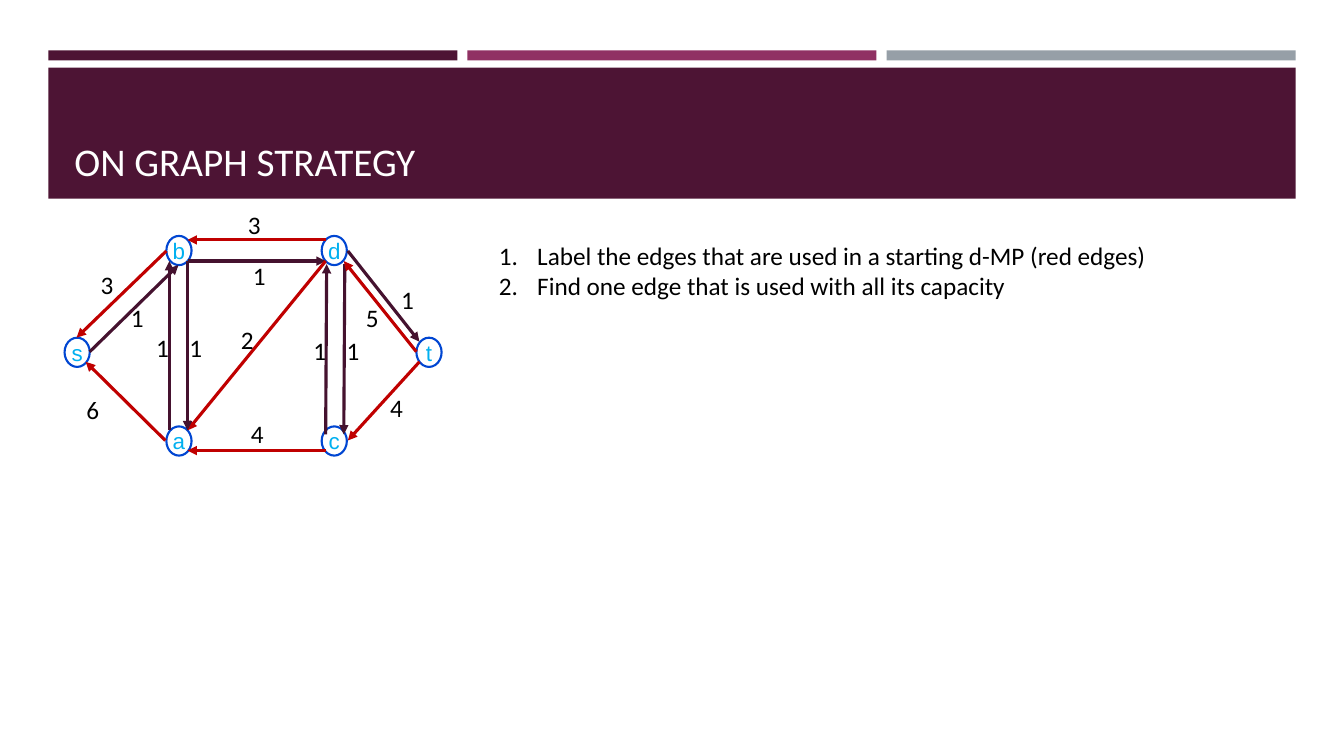
from lxml import etree
from pptx import Presentation
from pptx.dml.color import RGBColor
from pptx.enum.shapes import MSO_CONNECTOR, MSO_SHAPE
from pptx.enum.text import MSO_ANCHOR, PP_ALIGN
from pptx.oxml.ns import qn
from pptx.util import Inches, Pt

RECTANGLE, OVAL = MSO_SHAPE.RECTANGLE, MSO_SHAPE.OVAL
STRAIGHT = MSO_CONNECTOR.STRAIGHT
TOP, MIDDLE, BOTTOM = MSO_ANCHOR.TOP, MSO_ANCHOR.MIDDLE, MSO_ANCHOR.BOTTOM
LEFT, CENTER = PP_ALIGN.LEFT, PP_ALIGN.CENTER

PLUM = RGBColor(0x4D, 0x14, 0x34)
MAGENTA = RGBColor(0x90, 0x31, 0x63)
GRAY = RGBColor(0x96, 0x9F, 0xA7)
RED = RGBColor(0xC0, 0x00, 0x00)
DARK = RGBColor(0x45, 0x12, 0x2F)
BLUE = RGBColor(0x00, 0x46, 0xD2)
SKY = RGBColor(0x00, 0xB0, 0xF0)
WHITE = RGBColor(0xFF, 0xFF, 0xFF)
BLACK = RGBColor(0x00, 0x00, 0x00)

TITLE_STYLE = {"name": "Calibri", "size": Pt(28)}
BODY_STYLE = {"name": "Calibri", "size": Pt(18)}
NODE_STYLE = {"name": "Arial", "size": Pt(16)}

NODE_SIZE = (0.25, 0.29)
NODES = {
    "s": (0, 1.01), "t": (3.49, 1.01),
    "b": (1.01, 0), "d": (2.55, 0),
    "a": (1.01, 1.89), "c": (2.55, 1.89),
}
EDGES = [
    ((1.0, 2.03), (0.21, 1.25), RED, "6", (0.12, 1.52)),
    ((1.04, 1.93), (1.04, 0.25), DARK, "1", (0.81, 0.91)),
    ((1.22, 0.25), (2.59, 0.25), DARK, "1", (1.77, 0.19)),
    ((3.52, 1.25), (2.81, 2.03), RED, "4", (3.13, 1.5)),
    ((2.59, 0.25), (1.22, 1.93), RED, "2", (1.65, 0.83)),
    ((1.22, 0.25), (1.22, 1.93), DARK, "1", (1.14, 0.91)),
    ((2.59, 0.04), (1.22, 0.04), RED, "3", (1.72, -0.31)),
    ((0.25, 1.15), (1.13, 0.29), DARK, "1", (0.56, 0.61)),
    ((1.01, 0.15), (0.12, 1.01), RED, "3", (0.26, 0.28)),
    ((2.59, 2.13), (1.22, 2.13), RED, "4", (1.75, 1.76)),
    ((2.59, 1.97), (2.6, 0.28), DARK, "1", (2.37, 0.94)),
    ((2.78, 0.28), (2.77, 1.97), DARK, "1", (2.7, 0.94)),
    ((3.49, 1.15), (2.77, 0.25), RED, "5", (2.89, 0.61)),
    ((2.81, 0.15), (3.52, 1.05), DARK, "1", (3.24, 0.43)),
]
STEPS = [
    "Label the edges that are used in a starting d-MP (red edges)",
    "Find one edge that is used with all its capacity",
]


def write(para, text, style, color):
    span = para.add_run()
    span.text = text
    for name, value in style.items():
        setattr(span.font, name, value)
    span.font.color.rgb = color


def add_box(page, kind, box, fill, line=None):
    shape = page.shapes.add_shape(kind, *map(Inches, box))
    shape.shadow.inherit = False
    shape.fill.solid()
    shape.fill.fore_color.rgb = fill
    if line is None:
        shape.line.fill.background()
    else:
        shape.line.color.rgb = line
        shape.line.width = Pt(1.5)
    return shape


def add_text(page, box, lines, style, color, anchor=TOP):
    frame = page.shapes.add_textbox(*map(Inches, box)).text_frame
    frame.word_wrap = True
    frame.vertical_anchor = anchor
    for index, text in enumerate(lines):
        para = frame.add_paragraph() if index else frame.paragraphs[0]
        para.alignment = LEFT
        write(para, text, style, color)
    return frame


def add_node(page, box, letter):
    frame = add_box(page, OVAL, box, WHITE, BLUE).text_frame
    frame.word_wrap = False
    frame.vertical_anchor = MIDDLE
    frame.paragraphs[0].alignment = CENTER
    write(frame.paragraphs[0], letter, NODE_STYLE, SKY)


def add_arrow(page, start, end, color):
    arrow = page.shapes.add_connector(STRAIGHT, *map(Inches, (*start, *end)))
    arrow.line.color.rgb = color
    arrow.line.width = Pt(2.25)
    etree.SubElement(arrow.line._get_or_add_ln(), qn("a:tailEnd"), type="triangle")
    etree.SubElement(arrow._element.spPr, qn("a:effectLst"))


def draw_header(page, left, top, width, height):
    gap = 0.1
    bar_width = (width - 2 * gap) / 3
    for index, color in enumerate((PLUM, MAGENTA, GRAY)):
        bar_left = left + index * (bar_width + gap)
        add_box(page, RECTANGLE, (bar_left, top, bar_width, 0.1), color)
    band_top = top + 0.17
    add_box(page, RECTANGLE, (left, band_top, width, height - 0.17), PLUM)
    title_box = (left + 0.16, band_top + 0.1, width - 0.31, 1.11)
    add_text(page, title_box, ["ON GRAPH STRATEGY"], TITLE_STYLE, WHITE, BOTTOM)


def draw_graph(page, left, top):
    def place(point):
        return left + point[0], top + point[1]

    for letter, point in NODES.items():
        add_node(page, (*place(point), *NODE_SIZE), letter)
    for start, end, color, capacity, label in EDGES:
        add_arrow(page, place(start), place(end), color)
        add_text(page, (*place(label), 0.34, 0.4), [capacity], BODY_STYLE, BLACK)


def draw_steps(page, left, top, width, height):
    frame = add_text(page, (left, top, width, height), STEPS, BODY_STYLE, BLACK)
    for para in frame.paragraphs:
        properties = para._p.get_or_add_pPr()
        properties.set("marL", str(Inches(0.38)))
        properties.set("indent", str(-Inches(0.38)))
        etree.SubElement(properties, qn("a:buFont"), typeface="+mj-lt")
        etree.SubElement(properties, qn("a:buAutoNum"), type="arabicPeriod")


deck = Presentation()
deck.slide_width, deck.slide_height = Inches(13.33), Inches(7.5)
page = deck.slides.add_slide(deck.slide_layouts[6])
draw_header(page, 0.48, 0.5, 12.37, 1.47)
draw_graph(page, 0.64, 2.34)
draw_steps(page, 4.85, 2.33, 7.18, 0.71)
deck.save("out.pptx")
